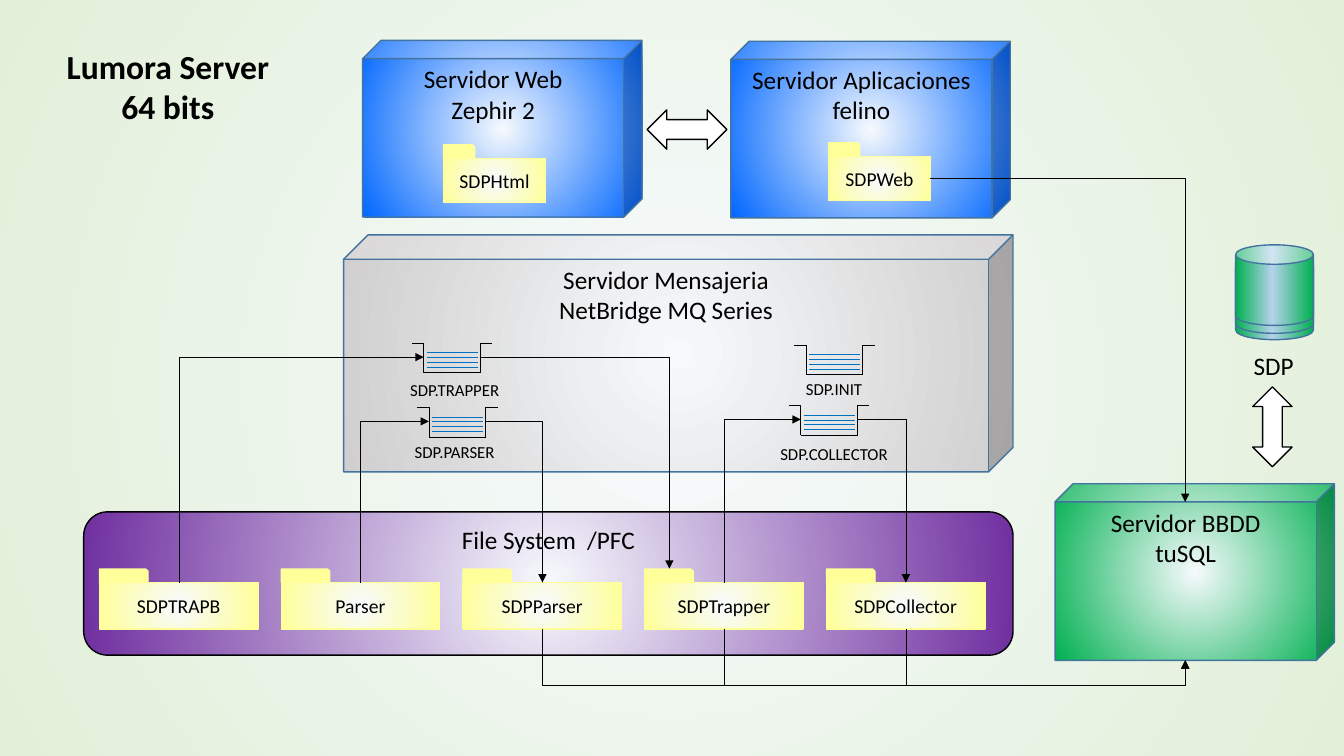
"""Build the server architecture slide with its queues, folders and data flows."""
from dataclasses import dataclass

from lxml.etree import SubElement
from pptx import Presentation
from pptx.dml.color import RGBColor
from pptx.enum.shapes import MSO_CONNECTOR, MSO_SHAPE
from pptx.enum.text import MSO_ANCHOR, MSO_AUTO_SIZE, PP_ALIGN
from pptx.oxml.ns import qn
from pptx.util import Cm, Pt


@dataclass(frozen=True)
class Theme:
    font: str = "Calibri"
    title: int = 24
    heading: int = 18
    folder: int = 14
    queue: int = 12
    ink: str = "000000"
    white: str = "FFFFFF"
    glow: str = "F7FAFD"
    backdrop: str = "E2F0D9"
    blue: str = "0066FF"
    green: str = "00B050"
    grey: str = "D0CECE"
    purple: str = "7030A0"
    yellow: str = "FFFF99"
    shine: str = "B5D2EC"
    edge: str = "43739E"
    water: str = "0070C0"


T = Theme()


def paint(fill, element, colors):
    """Fill with one flat colour, a glow of two, or a side sheen of three."""
    if len(colors) == 1:
        fill.solid()
        fill.fore_color.rgb = RGBColor.from_string(colors[0])
        return
    fill.gradient()
    grad = element.find(".//" + qn("a:gradFill"))
    for child in list(grad):
        grad.remove(child)
    stops = SubElement(grad, qn("a:gsLst"))
    positions = (0, 100000) if len(colors) == 2 else (0, 53000, 100000)
    for pos, color in zip(positions, colors):
        stop = SubElement(stops, qn("a:gs"), pos=str(pos))
        SubElement(stop, qn("a:srgbClr"), val=color)
    if len(colors) == 2:
        circle = SubElement(grad, qn("a:path"), path="circle")
        SubElement(circle, qn("a:fillToRect"), l="50000", t="50000", r="50000", b="50000")
    else:
        SubElement(grad, qn("a:lin"), ang="10800000", scaled="0")


def wire(kind, x1, y1, x2, y2, color=T.ink, arrow=None):
    """Draw a thin connector, with an arrowhead at headEnd or tailEnd if named."""
    c = s.shapes.add_connector(kind, Cm(x1), Cm(y1), Cm(x2), Cm(y2))
    c.line.color.rgb = RGBColor.from_string(color)
    c.line.width = Pt(0.5)
    spPr = c._element.spPr
    if arrow:
        SubElement(spPr.find(qn("a:ln")), qn("a:" + arrow), type="triangle")
    SubElement(spPr, qn("a:effectLst"))
    return c


prs = Presentation()
prs.slide_width, prs.slide_height = Cm(33.87), Cm(19.05)
s = prs.slides.add_slide(prs.slide_layouts[5])
paint(s.background.fill, s._element, (T.glow, T.backdrop))

title = s.shapes.title
title.left, title.top, title.width, title.height = Cm(1.23), Cm(1.02), Cm(6), Cm(2.31)
title.text_frame.text = "Lumora Server\n64 bits"
texts = [(title.text_frame, T.title, MSO_ANCHOR.TOP)]

server = (7.04, 4.45)
shapes = [
    (MSO_SHAPE.CUBE, 18.42, 1.04, *server, (T.glow, T.blue), T.edge, "Servidor Aplicaciones\nfelino"),
    (MSO_SHAPE.CUBE, 9.14, 1.02, *server, (T.glow, T.blue), T.edge, "Servidor Web\nZephir 2"),
    (MSO_SHAPE.CUBE, 26.59, 12.19, *server, (T.glow, T.green), T.edge, "Servidor BBDD\ntuSQL"),
    (MSO_SHAPE.CUBE, 8.66, 5.92, 16.87, 5.97, (T.glow, T.grey), T.edge,
     "Servidor Mensajeria\nNetBridge MQ Series"),
    (MSO_SHAPE.ROUNDED_RECTANGLE, 2.11, 12.9, 23.42, 3.61, (T.glow, T.purple), T.ink,
     "File System  /PFC"),
    (MSO_SHAPE.LEFT_RIGHT_ARROW, 16.31, 2.77, 2.01, 0.99, (T.white,), T.ink, ""),
    (MSO_SHAPE.LEFT_RIGHT_ARROW, 31.06, 10.26, 2.01, 0.99, (T.white,), T.ink, ""),
]
for y in (6.53, 6.37, 6.17):
    shapes.append((MSO_SHAPE.CAN, 31.14, y, 1.96, 2.03, (T.green, T.shine, T.green), T.edge, ""))

folder_x = [2.51 + 4.58 * i for i in range(5)]
folder_names = ("SDPTRAPB", "Parser", "SDPParser", "SDPTrapper", "SDPCollector")
folders = [(x, 14.68, 3.99, 1.17, name) for x, name in zip(folder_x, folder_names)]
folders += [(11.18, 3.99, 2.57, 1.12, "SDPHtml"), (20.88, 3.94, 2.57, 1.12, "SDPWeb")]
for x, y, w, h, name in folders:
    shapes.append((MSO_SHAPE.RECTANGLE, x, y, w, h, (T.glow, T.yellow), T.yellow, name))
    shapes.append((MSO_SHAPE.SNIP_1_RECTANGLE, x, y - 0.34, w * 0.306, 0.34, (T.yellow,), T.yellow, ""))

for kind, x, y, w, h, colors, line, text in shapes:
    sp = s.shapes.add_shape(kind, Cm(x), Cm(y), Cm(w), Cm(h))
    sp.shadow.inherit = False
    paint(sp.fill, sp._element, colors)
    sp.line.color.rgb = RGBColor.from_string(line)
    sp.line.width = Pt(1)
    if kind == MSO_SHAPE.CUBE:
        sp.adjustments[0] = 0.103
    if kind == MSO_SHAPE.LEFT_RIGHT_ARROW and x > 30:
        sp.rotation = 90
    if text:
        sp.text_frame.text = text
        if kind == MSO_SHAPE.RECTANGLE:
            texts.append((sp.text_frame, T.folder, MSO_ANCHOR.MIDDLE))
        else:
            texts.append((sp.text_frame, T.heading, MSO_ANCHOR.TOP))

queues = {
    "SDP.TRAPPER": (10.39, 8.64),
    "SDP.PARSER": (10.52, 10.26),
    "SDP.COLLECTOR": (19.89, 10.21),
    "SDP.INIT": (20.02, 8.69),
}
labels = [
    ("SDP.TRAPPER", 11.46, 9.45, T.queue),
    ("SDP.PARSER", 11.46, 11, T.queue),
    ("SDP.COLLECTOR", 21.02, 11.05, T.queue),
    ("SDP.INIT", 21.02, 9.42, T.queue),
    ("SDP", 32.1, 8.71, T.heading),
]
for text, center, y, size in labels:
    sp = s.shapes.add_textbox(Cm(center - 1.62), Cm(y), Cm(3.24), Cm(0.04 * size + 0.28))
    sp.text_frame.text = text
    texts.append((sp.text_frame, size, MSO_ANCHOR.TOP))

for tf, size, anchor in texts:
    tf.word_wrap = True
    tf.auto_size = MSO_AUTO_SIZE.NONE
    tf.vertical_anchor = anchor
    for p in tf.paragraphs:
        p.alignment = PP_ALIGN.CENTER
        for r in p.runs:
            r.font.name = T.font
            r.font.size = Pt(size)
            r.font.bold = size == T.title
            r.font.color.rgb = RGBColor.from_string(T.ink)

tank = [(0, 0, 0.29, 0), (1.72, 0, 2.02, 0), (0.29, 0, 0.29, 0.75),
        (1.72, 0, 1.72, 0.75), (0.29, 0.75, 1.72, 0.75)]
water = [(0.36, level, 1.65, level) for level in (0.25, 0.37, 0.49, 0.61)]
for x, y in queues.values():
    for color, strokes in ((T.ink, tank), (T.water, water)):
        for x1, y1, x2, y2 in strokes:
            wire(MSO_CONNECTOR.STRAIGHT, x + x1, y + y1, x + x2, y + y2, color)

trapb, parser, sdp_parser, trapper, collector = [x + 2 for x in folder_x]
flows = [(23.45, 4.5, 29.87, 12.65, "tailEnd")]
for name, source, target, target_y in (
    ("SDP.TRAPPER", trapb, 16.87, 14.33),
    ("SDP.PARSER", parser, sdp_parser, 14.68),
    ("SDP.COLLECTOR", trapper, collector, 14.68),
):
    x, y = queues[name]
    flows.append((x + 0.29, y + 0.36, source, 14.68, "headEnd"))
    flows.append((x + 1.72, y + 0.36, target, target_y, "tailEnd"))
for x1, y1, x2, y2, arrow in flows:
    c = wire(MSO_CONNECTOR.ELBOW, x1, y1, x2, y2, arrow=arrow)
    c._element.spPr.find(qn("a:prstGeom")).set("prst", "bentConnector2")

db_x, db_y, folder_bottom = 29.87, 16.64, 15.85
for x in (collector, trapper, sdp_parser):
    cx, cy = (x + db_x) / 2, (folder_bottom + db_y) / 2
    half_w, half_h = (db_y - folder_bottom) / 2, (db_x - x) / 2
    c = wire(MSO_CONNECTOR.ELBOW, cx - half_w, cy - half_h, cx + half_w, cy + half_h, arrow="tailEnd")
    xfrm = c._element.spPr.find(qn("a:xfrm"))
    xfrm.set("rot", "16200000")
    xfrm.set("flipH", "1")
    geom = c._element.spPr.find(qn("a:prstGeom"))
    SubElement(geom.find(qn("a:avLst")), qn("a:gd"), name="adj1", fmla="val 178900")

prs.save("out.pptx")
